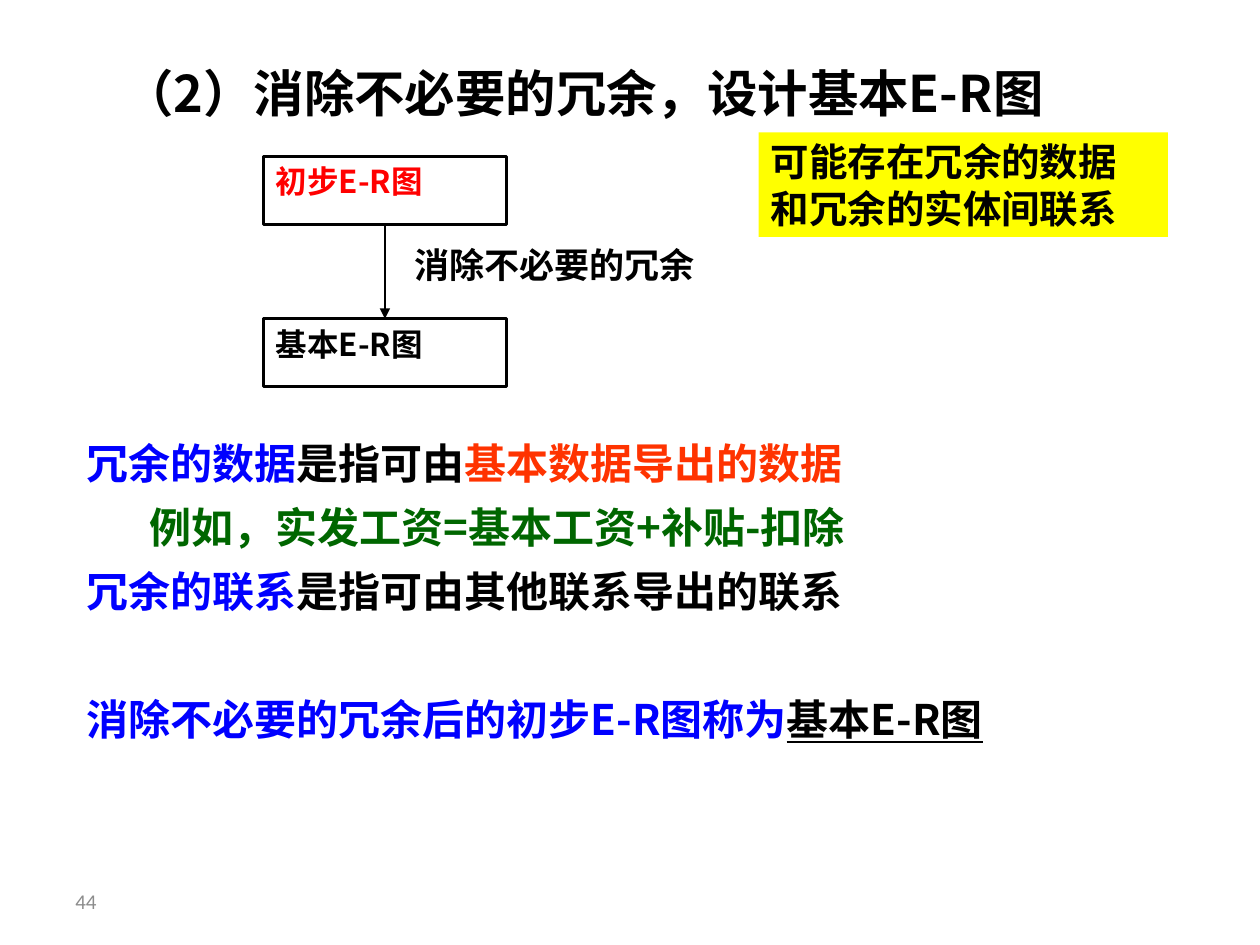
"""Build the slide on removing redundancy to reach the basic E-R diagram."""
from lxml import etree
from pptx import Presentation
from pptx.dml.color import RGBColor
from pptx.enum.shapes import MSO_CONNECTOR, MSO_SHAPE
from pptx.enum.text import MSO_ANCHOR, PP_ALIGN
from pptx.oxml.ns import qn
from pptx.util import Inches, Pt

BLACK = RGBColor(0x00, 0x00, 0x00)
RED = RGBColor(0xFF, 0x00, 0x00)
ORANGE = RGBColor(0xFF, 0x33, 0x00)
BLUE = RGBColor(0x00, 0x00, 0xFF)
GREEN = RGBColor(0x00, 0x66, 0x00)
YELLOW = RGBColor(0xFF, 0xFF, 0x00)
GRAY = RGBColor(0x8C, 0x8C, 0x8C)
RECT = MSO_SHAPE.RECTANGLE
STRAIGHT = MSO_CONNECTOR.STRAIGHT
TOP, MIDDLE = MSO_ANCHOR.TOP, MSO_ANCHOR.MIDDLE
LEFT, CENTER, JUSTIFY = PP_ALIGN.LEFT, PP_ALIGN.CENTER, PP_ALIGN.JUSTIFY
CJK = "Noto Sans CJK SC"


def add_run(p, text, color, **fmt):
    r = p.add_run()
    r.text = text
    for key, value in {"name": CJK, "bold": True, **fmt}.items():
        setattr(r.font, key, value)
    r.font.color.rgb = color
    ea = etree.SubElement(r.font._element, qn("a:ea"))
    ea.set("typeface", r.font.name)


def add_lines(sp, lines, color, align=LEFT, anchor=TOP, **fmt):
    tf = sp.text_frame
    tf.word_wrap = True
    tf.vertical_anchor = anchor
    for i, line in enumerate(lines):
        p = tf.add_paragraph() if i else tf.paragraphs[0]
        p.alignment = align
        add_run(p, line, color, **fmt)


prs = Presentation()
prs.slide_width, prs.slide_height = Inches(10), Inches(7.5)
s = prs.slides.add_slide(prs.slide_layouts[6])

labels = [
    ((0.5, 6.95, 2.33, 0.4), "44", GRAY,
     {"anchor": MIDDLE, "size": Pt(12), "name": "Calibri", "bold": False}),
    ((0.35, 0.44, 8.56, 0.62), "（2）消除不必要的冗余，设计基本E-R图", BLACK,
     {"align": CENTER, "size": Pt(28.8)}),
    ((3.19, 1.88, 3.03, 0.54), "消除不必要的冗余", BLACK,
     {"align": JUSTIFY, "size": Pt(20)}),
]
for box, text, color, fmt in labels:
    sp = s.shapes.add_textbox(*map(Inches, box))
    add_lines(sp, [text], color, **fmt)

note = s.shapes.add_shape(RECT, Inches(6.02), Inches(1.05), Inches(3.25), Inches(0.83))
note.shadow.inherit = False
note.fill.solid()
note.fill.fore_color.rgb = YELLOW
note.line.fill.background()
add_lines(note, ["可能存在冗余的数据", "和冗余的实体间联系"], BLACK, JUSTIFY, size=Pt(22))

steps = []
for top, text, color in [(1.24, "初步E-R图", RED), (2.53, "基本E-R图", BLACK)]:
    sp = s.shapes.add_shape(RECT, Inches(2.09), Inches(top), Inches(1.93), Inches(0.54))
    sp.shadow.inherit = False
    sp.fill.background()
    sp.line.color.rgb = BLACK
    sp.line.width = Pt(1.5)
    add_lines(sp, [text], color, size=Pt(18))
    steps.append(sp)

arrow = s.shapes.add_connector(STRAIGHT, 0, 0, 0, 0)
arrow.begin_connect(steps[0], 2)
arrow.end_connect(steps[1], 0)
arrow.line.color.rgb = BLACK
arrow.line.width = Pt(1.5)
etree.SubElement(arrow.line._get_or_add_ln(), qn("a:tailEnd")).set("type", "triangle")
etree.SubElement(arrow._element.spPr, qn("a:effectLst"))

body = [
    (0, 0, [("冗余的数据", BLUE), ("是指可由", BLACK), ("基本数据导出的数据", ORANGE)]),
    (1, 3.6, [("例如，实发工资=基本工资+补贴-扣除", GREEN)]),
    (0, 3.6, [("冗余的联系", BLUE), ("是指可由其他联系导出的联系", BLACK)]),
    (0, 40, [("消除不必要的冗余后的初步E-R图称为", BLUE), ("基本E-R图", BLACK, True)]),
]
sp = s.shapes.add_textbox(Inches(0.59), Inches(3.36), Inches(9.13), Inches(2.67))
tf = sp.text_frame
tf.word_wrap = True
for i, (level, before, runs) in enumerate(body):
    p = tf.add_paragraph() if i else tf.paragraphs[0]
    fmt = {"level": level, "line_spacing": 1.15, "space_before": Pt(before)}
    for key, value in fmt.items():
        setattr(p, key, value)
    pPr = p._p.get_or_add_pPr()
    pPr.set("marL", str(Inches(0.5 * level)))
    pPr.set("indent", "0")
    for text, color, *underline in runs:
        add_run(p, text, color, size=Pt(24), underline=bool(underline))

prs.save("out.pptx")
